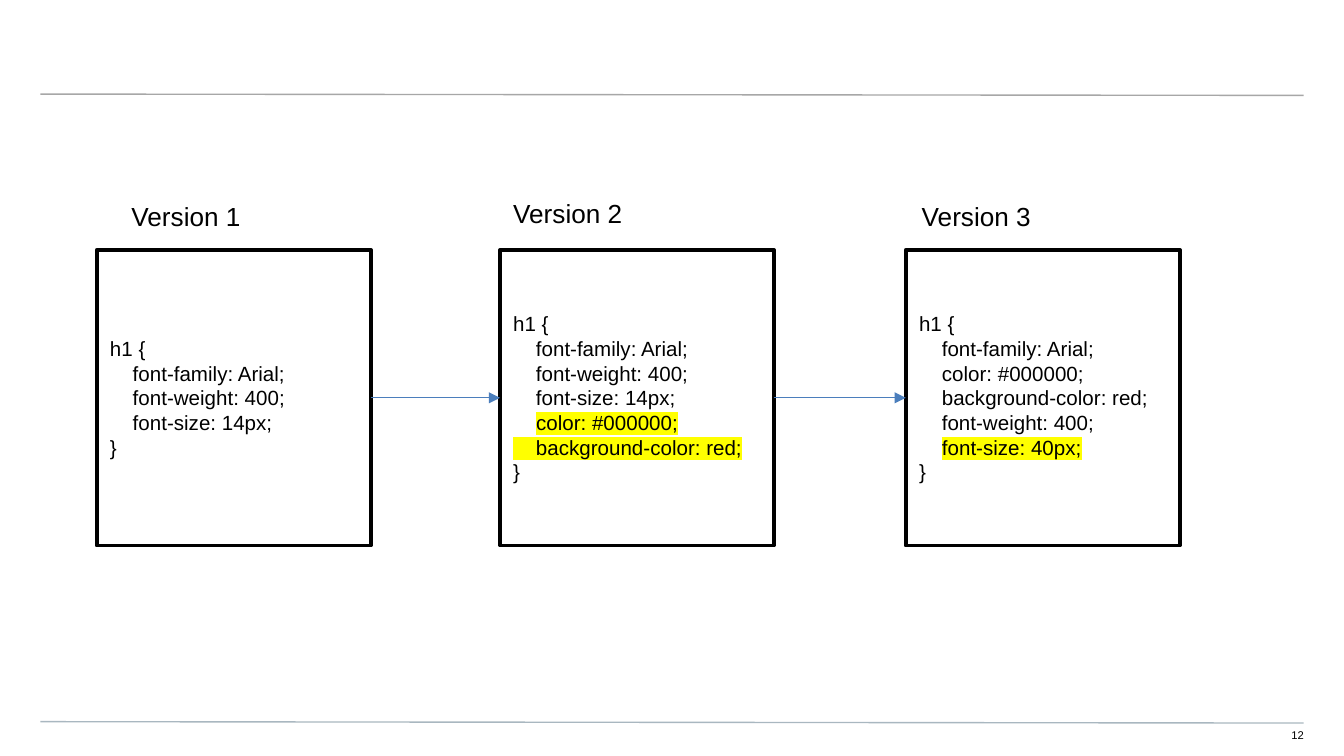
from dataclasses import dataclass

from lxml import etree
from pptx import Presentation
from pptx import util as u
from pptx.dml.color import RGBColor
from pptx.enum import shapes, text
from pptx.oxml import ns


@dataclass(frozen=True)
class Theme:
    font: str = "Arial"
    ink: str = "000000"
    paper: str = "FFFFFF"
    marker: str = "FFFF00"
    arrow: str = "4B7EBC"
    top_rule: str = "A7A7A7"
    bottom_rule: str = "A9B7C0"
    label_size: float = 14
    code_size: float = 11
    number_size: float = 6
    thin: float = 0.75
    thick: float = 2


@dataclass(frozen=True)
class Version:
    label: str
    label_left: float
    label_top: float
    left: float
    code: tuple[str, ...]
    changed: tuple[str, ...] = ()


THEME = Theme()
BOX_TOP, BOX_WIDTH, BOX_HEIGHT = 133.92, 146.88, 158.4
INDENT = "    "

VERSIONS = (
    Version("Version 1", 63.36, 103.68, 51.84, (
        "h1 {",
        "    font-family: Arial;",
        "    font-weight: 400;",
        "    font-size: 14px;",
        "}",
    )),
    Version("Version 2", 267.84, 102.24, 267.84, (
        "h1 {",
        "    font-family: Arial;",
        "    font-weight: 400;",
        "    font-size: 14px;",
        "    color: #000000;",
        "    background-color: red;",
        "}",
    ), ("color: #000000;", "    background-color: red;")),
    Version("Version 3", 486.72, 103.68, 485.28, (
        "h1 {",
        "    font-family: Arial;",
        "    color: #000000;",
        "    background-color: red;",
        "    font-weight: 400;",
        "    font-size: 40px;",
        "}",
    ), ("font-size: 40px;",)),
)


def rgb(color: str) -> RGBColor:
    return RGBColor.from_string(color)


def style(paragraph, size: float) -> None:
    paragraph.font.name = THEME.font
    paragraph.font.size = u.Pt(size)
    paragraph.font.color.rgb = rgb(THEME.ink)


def highlight(run) -> None:
    mark = etree.SubElement(run.font._element, ns.qn("a:highlight"))
    etree.SubElement(mark, ns.qn("a:srgbClr"), val=THEME.marker)


def add_line(slide, start: tuple[float, float], end: tuple[float, float], color: str):
    line = slide.shapes.add_connector(
        shapes.MSO_CONNECTOR.STRAIGHT, *map(u.Pt, (*start, *end)))
    line.line.color.rgb = rgb(color)
    line.line.width = u.Pt(THEME.thin)
    etree.SubElement(line._element.spPr, ns.qn("a:effectLst"))
    return line


def add_text(slide, words: str, left: float, top: float, width: float,
             height: float, size: float):
    box = slide.shapes.add_textbox(*map(u.Pt, (left, top, width, height)))
    box.text_frame.word_wrap = True
    box.text_frame.text = words
    style(box.text_frame.paragraphs[0], size)
    return box


def add_code_line(paragraph, line: str, changed: tuple[str, ...]) -> None:
    """Write one line of code, marking either all of it or what follows its indent."""
    body = line.strip()
    if line in changed:
        parts = (line,)
    elif body in changed:
        parts = (INDENT, body)
    else:
        parts = (line,)
    for part in parts:
        run = paragraph.add_run()
        run.text = part
        if part in changed:
            highlight(run)
    style(paragraph, THEME.code_size)


def add_code_box(slide, version: Version):
    box = slide.shapes.add_shape(
        shapes.MSO_SHAPE.RECTANGLE,
        *map(u.Pt, (version.left, BOX_TOP, BOX_WIDTH, BOX_HEIGHT)))
    box.shadow.inherit = False
    box.fill.solid()
    box.fill.fore_color.rgb = rgb(THEME.paper)
    box.line.color.rgb = rgb(THEME.ink)
    box.line.width = u.Pt(THEME.thick)
    frame = box.text_frame
    frame.word_wrap = True
    frame.vertical_anchor = text.MSO_ANCHOR.MIDDLE
    for index, line in enumerate(version.code):
        paragraph = frame.add_paragraph() if index else frame.paragraphs[0]
        paragraph.alignment = text.PP_ALIGN.LEFT
        add_code_line(paragraph, line, version.changed)
    return box


def add_arrow(slide, source, target) -> None:
    arrow = add_line(slide, (0, 0), (0, 0), THEME.arrow)
    arrow.begin_connect(source, 3)
    arrow.end_connect(target, 1)
    etree.SubElement(arrow.line._get_or_add_ln(), ns.qn("a:tailEnd"), type="triangle")


def main() -> None:
    deck = Presentation()
    deck.slide_width, deck.slide_height = u.Pt(720), u.Pt(405)
    slide = deck.slides.add_slide(deck.slide_layouts[6])

    # Page frame: number and the two rules
    number = add_text(slide, "12", 677.52, 390.24, 20.88, 8.64, THEME.number_size)
    frame = number.text_frame
    frame.margin_left = frame.margin_top = frame.margin_right = 0
    frame.margin_bottom = u.Pt(7.2)
    frame.paragraphs[0].alignment = text.PP_ALIGN.RIGHT
    for top, color in ((50.4, THEME.top_rule), (386.64, THEME.bottom_rule)):
        add_line(slide, (21.6, top), (698.4, top + 0.72), color)

    # Code boxes, joined in order
    boxes = [add_code_box(slide, version) for version in VERSIONS]
    for source, target in zip(boxes, boxes[1:]):
        add_arrow(slide, source, target)

    # Version labels
    for version in VERSIONS:
        label = add_text(slide, version.label, version.label_left,
                         version.label_top, 139.68, 24.48, THEME.label_size)
        label.text_frame.auto_size = text.MSO_AUTO_SIZE.SHAPE_TO_FIT_TEXT

    deck.save("out.pptx")


if __name__ == "__main__":
    main()
